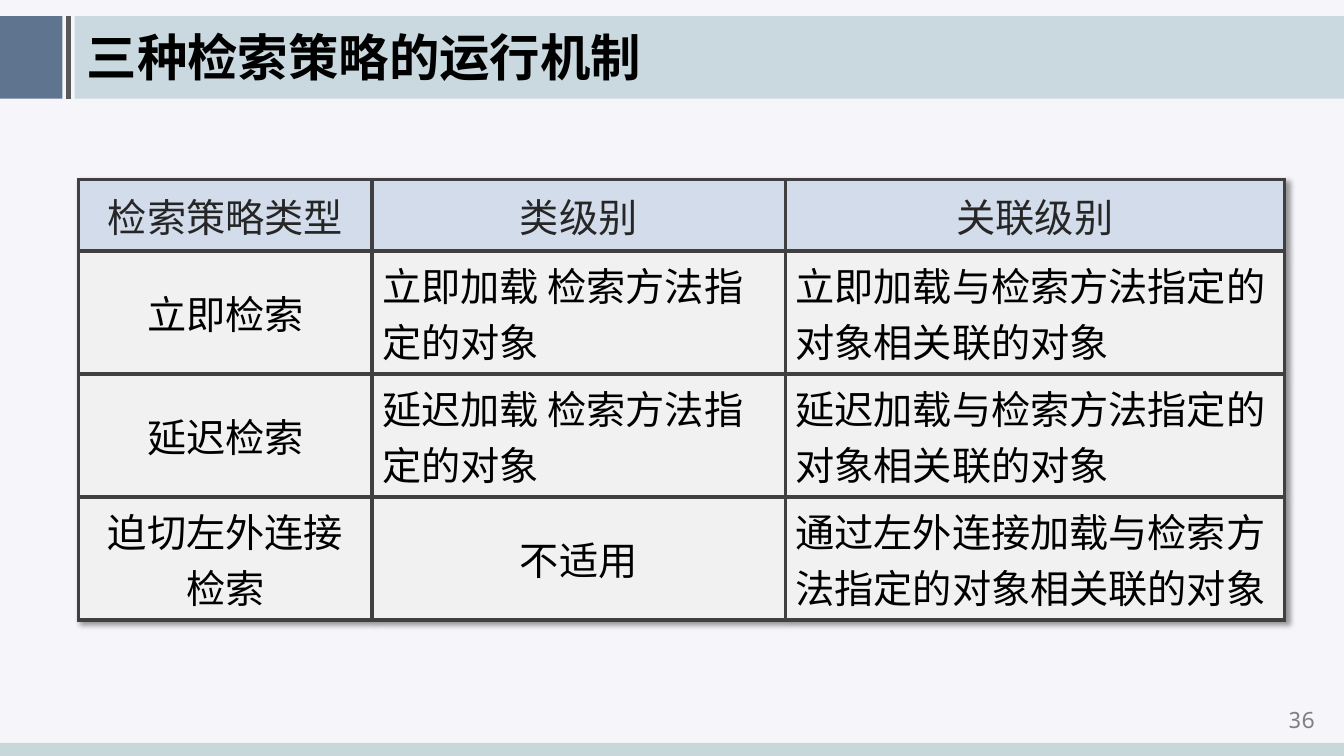
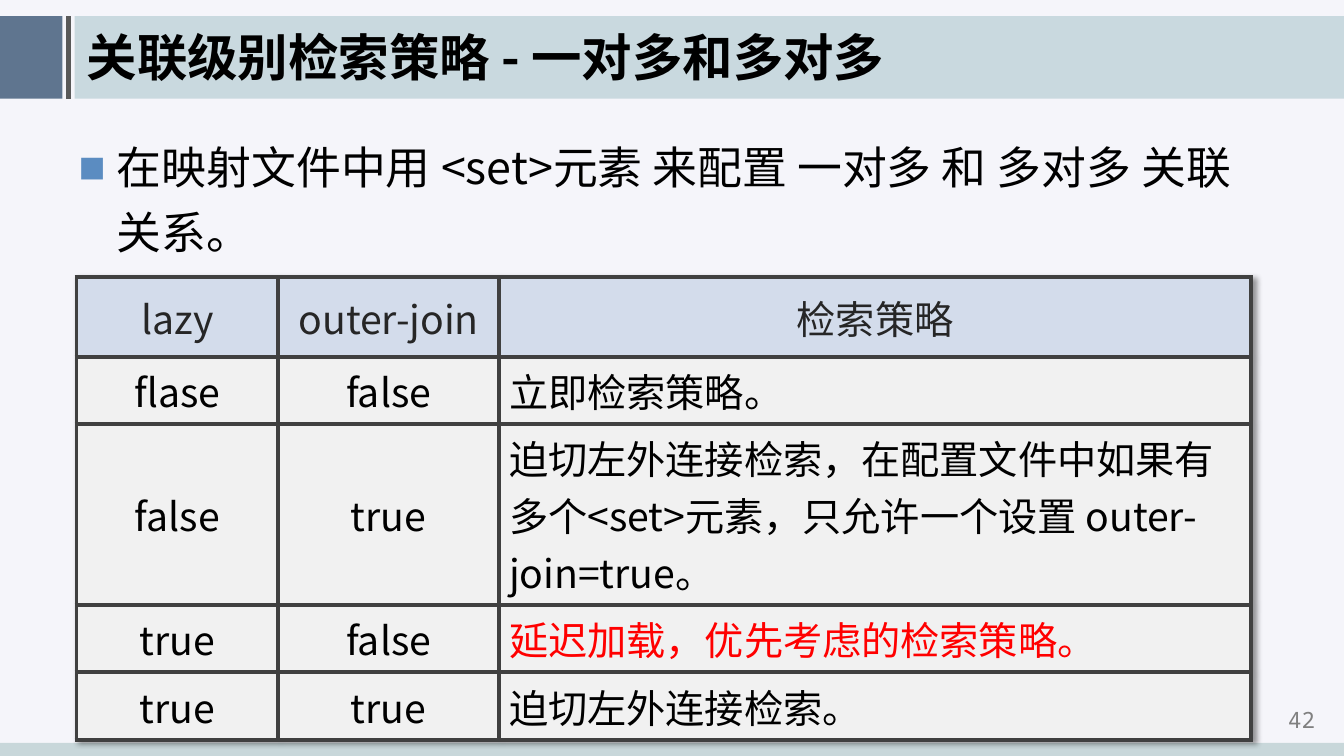
from dataclasses import dataclass
from typing import NamedTuple

from lxml.etree import SubElement
from pptx import Presentation
from pptx.dml.color import RGBColor
from pptx.enum.shapes import MSO_CONNECTOR, MSO_SHAPE
from pptx.enum.text import MSO_ANCHOR, MSO_AUTO_SIZE, PP_ALIGN
from pptx.oxml import parse_xml
from pptx.oxml.ns import nsdecls, qn
from pptx.util import Inches, Pt


@dataclass(frozen=True)
class Theme:
    """Colours, fonts and type sizes of the deck."""
    background: str = "F5F5FA"
    block: str = "204062"
    band: str = "6699A1"
    footer: str = "C8D7DA"
    rule: str = "595959"
    border: str = "404040"
    header_fill: str = "D3DCEB"
    cell_fill: str = "F1F1F1"
    header_text: str = "262626"
    text: str = "000000"
    accent: str = "FF0000"
    number: str = "808080"
    bullet: str = "5B8CC1"
    font: str = "Noto Sans CJK SC"
    number_font: str = "Noto Sans Mono"
    title_size: int = 36
    body_size: int = 32
    table_size: int = 28
    number_size: int = 16
    line_width: int = 3


THEME = Theme()


class Box(NamedTuple):
    """A rectangle in inches."""
    left: float
    top: float
    width: float
    height: float

    def lengths(self):
        """Return the four measures as lengths."""
        return [Inches(value) for value in self]


class Prose(NamedTuple):
    """Left-aligned table text with its colour."""
    text: str
    color: str = THEME.text


SLIDE = Box(0, 0, 13.33, 7.5)
HEADING = Box(0, 0.16, 13.33, 0.82)
TITLE = Box(0.76, 0.21, 11.54, 0.73)
NUMBER = Box(12.49, 6.96, 0.84, 0.31)


def write(frame, text, *, size, color=THEME.text, font=THEME.font, bold=False,
          align=PP_ALIGN.LEFT, anchor=MSO_ANCHOR.MIDDLE):
    """Fill a text frame, one paragraph for each line of text."""
    frame.word_wrap = True
    frame.vertical_anchor = anchor
    for index, line in enumerate(text.split("\n")):
        para = frame.paragraphs[0] if index == 0 else frame.add_paragraph()
        para.alignment = align
        span = para.add_run()
        span.text = line
        span.font.name = font
        span.font.size = Pt(size)
        span.font.bold = bold
        span.font.color.rgb = RGBColor.from_string(color)
        SubElement(span._r.get_or_add_rPr(), qn("a:ea"), typeface=font)


def add_bar(page, box, color, opacity=100):
    """Add a plain filled rectangle."""
    bar = page.shapes.add_shape(MSO_SHAPE.RECTANGLE, *box.lengths())
    bar.shadow.inherit = False
    bar.line.fill.background()
    bar.fill.solid()
    bar.fill.fore_color.rgb = RGBColor.from_string(color)
    if opacity < 100:
        tint = bar.element.spPr.find(f".//{qn('a:srgbClr')}")
        SubElement(tint, qn("a:alpha"), val=str(opacity * 1000))
    return bar


def add_rule(page, left, top, height):
    """Add the vertical rule beside the heading."""
    rule = page.shapes.add_connector(
        MSO_CONNECTOR.STRAIGHT, Inches(left), Inches(top + height), Inches(left), Inches(top))
    rule.line.color.rgb = RGBColor.from_string(THEME.rule)
    rule.line.width = Pt(THEME.line_width)
    SubElement(rule.element.spPr, qn("a:effectLst"))
    return rule


def decorate_master(deck, page, box):
    """Give the master its background, heading band and footer band."""
    master = deck.slide_master
    master.background.fill.solid()
    master.background.fill.fore_color.rgb = RGBColor.from_string(THEME.background)
    parts = [
        add_bar(page, Box(box.left, box.top, 0.62, box.height), THEME.block, 70),
        add_rule(page, box.left + 0.68, box.top, box.height),
        add_bar(page, Box(box.left + 0.74, box.top, box.width - 0.74, box.height),
                THEME.band, 30),
        add_bar(page, Box(0, 7.37, SLIDE.width, 0.13), THEME.footer),
    ]
    for offset, part in enumerate(parts):
        master.element.cSld.spTree.insert(2 + offset, part.element)


def place(shape, box):
    """Move and size a shape to a box."""
    shape.left, shape.top, shape.width, shape.height = box.lengths()


def add_page(deck, layout, title, number):
    """Add a slide with its title and page number."""
    page = deck.slides.add_slide(deck.slide_layouts.get_by_name(layout))
    place(page.shapes.title, TITLE)
    frame = page.shapes.title.text_frame
    frame.auto_size = MSO_AUTO_SIZE.NONE
    frame.margin_bottom = Inches(0.09)
    write(frame, title, size=THEME.title_size, bold=True)
    frame = page.shapes.add_textbox(*NUMBER.lengths()).text_frame
    frame.margin_top, frame.margin_bottom = Inches(0.05), 0
    write(frame, number, size=THEME.number_size, color=THEME.number,
          font=THEME.number_font, align=PP_ALIGN.CENTER)
    return page


def fill_body(page, box, text):
    """Write the bulleted statement in the body placeholder."""
    body = page.placeholders[1]
    place(body, box)
    frame = body.text_frame
    frame.auto_size = MSO_AUTO_SIZE.NONE
    write(frame, text, size=THEME.body_size, anchor=MSO_ANCHOR.TOP)
    para = frame.paragraphs[0]
    para.line_spacing = 1.2
    para.space_before = Pt(THEME.body_size * 0.2)
    properties = para._p.get_or_add_pPr()
    properties.set("marL", str(Inches(0.38)))
    properties.set("indent", str(-Inches(0.38)))
    color = SubElement(properties, qn("a:buClr"))
    SubElement(color, qn("a:srgbClr"), val=THEME.bullet)
    SubElement(properties, qn("a:buChar"), char="■")


def add_borders(cell):
    """Draw all four borders of a cell."""
    properties = cell._tc.get_or_add_tcPr()
    for index, side in enumerate("LRTB"):
        properties.insert(index, parse_xml(
            f'<a:ln{side} {nsdecls("a")} w="{Pt(THEME.line_width)}"><a:solidFill>'
            f'<a:srgbClr val="{THEME.border}"/></a:solidFill></a:ln{side}>'))


def add_grid(page, left, top, widths, heights, rows):
    """Add a bordered table with a tinted header row and a soft shadow."""
    box = Box(left, top, sum(widths), sum(heights))
    table = page.shapes.add_table(len(rows), len(widths), *box.lengths()).table
    table.horz_banding = False
    table._tbl.tblPr.insert(0, parse_xml(
        f'<a:effectLst {nsdecls("a")}><a:outerShdw blurRad="50800" dist="38100" dir="2700000">'
        '<a:srgbClr val="000000"><a:alpha val="40000"/></a:srgbClr></a:outerShdw></a:effectLst>'))
    for column, width in zip(table.columns, widths):
        column.width = Inches(width)
    for row, height in zip(table.rows, heights):
        row.height = Inches(height)
    for row_index, row in enumerate(rows):
        header = row_index == 0
        for column_index, content in enumerate(row):
            cell = table.cell(row_index, column_index)
            cell.fill.solid()
            cell.fill.fore_color.rgb = RGBColor.from_string(
                THEME.header_fill if header else THEME.cell_fill)
            add_borders(cell)
            prose = isinstance(content, Prose)
            color = THEME.header_text if header else THEME.text
            write(cell.text_frame, content.text if prose else content,
                  size=THEME.table_size, color=content.color if prose else color,
                  align=PP_ALIGN.LEFT if prose else PP_ALIGN.CENTER)
            cell.vertical_anchor = MSO_ANCHOR.MIDDLE


def build_mechanisms(deck):
    """Build the slide comparing the three strategies."""
    page = add_page(deck, "Title Only", "三种检索策略的运行机制", "36")
    add_grid(page, 0.78, 1.78, [2.91, 4.1, 4.95], [0.71] + [1.22] * 3, [
        ["检索策略类型", "类级别", "关联级别"],
        ["立即检索", Prose("立即加载 检索方法指定的对象"),
         Prose("立即加载与检索方法指定的对象相关联的对象")],
        ["延迟检索", Prose("延迟加载 检索方法指定的对象"),
         Prose("延迟加载与检索方法指定的对象相关联的对象")],
        ["迫切左外连接\n检索", "不适用",
         Prose("通过左外连接加载与检索方法指定的对象相关联的对象")],
    ])
    return page


def build_associations(deck):
    """Build the slide on one-to-many and many-to-many strategies."""
    page = add_page(deck, "Title and Content", "关联级别检索策略 - 一对多和多对多", "42")
    fill_body(page, Box(0.68, 1.23, 11.97, 1.34),
              "在映射文件中用 <set>元素 来配置 一对多 和 多对多 关联关系。")
    add_grid(page, 0.76, 2.75, [2, 2.19, 7.46], [0.79, 0.67, 1.79, 0.67, 0.67], [
        ["lazy", "outer-join", "检索策略"],
        ["flase", "false", Prose("立即检索策略。")],
        ["false", "true", Prose("迫切左外连接检索，在配置文件中如果有多个<set>元素，"
                                "只允许一个设置 outer-join=true。")],
        ["true", "false", Prose("延迟加载，优先考虑的检索策略。", THEME.accent)],
        ["true", "true", Prose("迫切左外连接检索。")],
    ])


def main():
    """Build and save the deck."""
    deck = Presentation()
    deck.slide_width, deck.slide_height = Inches(SLIDE.width), Inches(SLIDE.height)
    page = build_mechanisms(deck)
    build_associations(deck)
    decorate_master(deck, page, HEADING)
    deck.save("out.pptx")


main()
